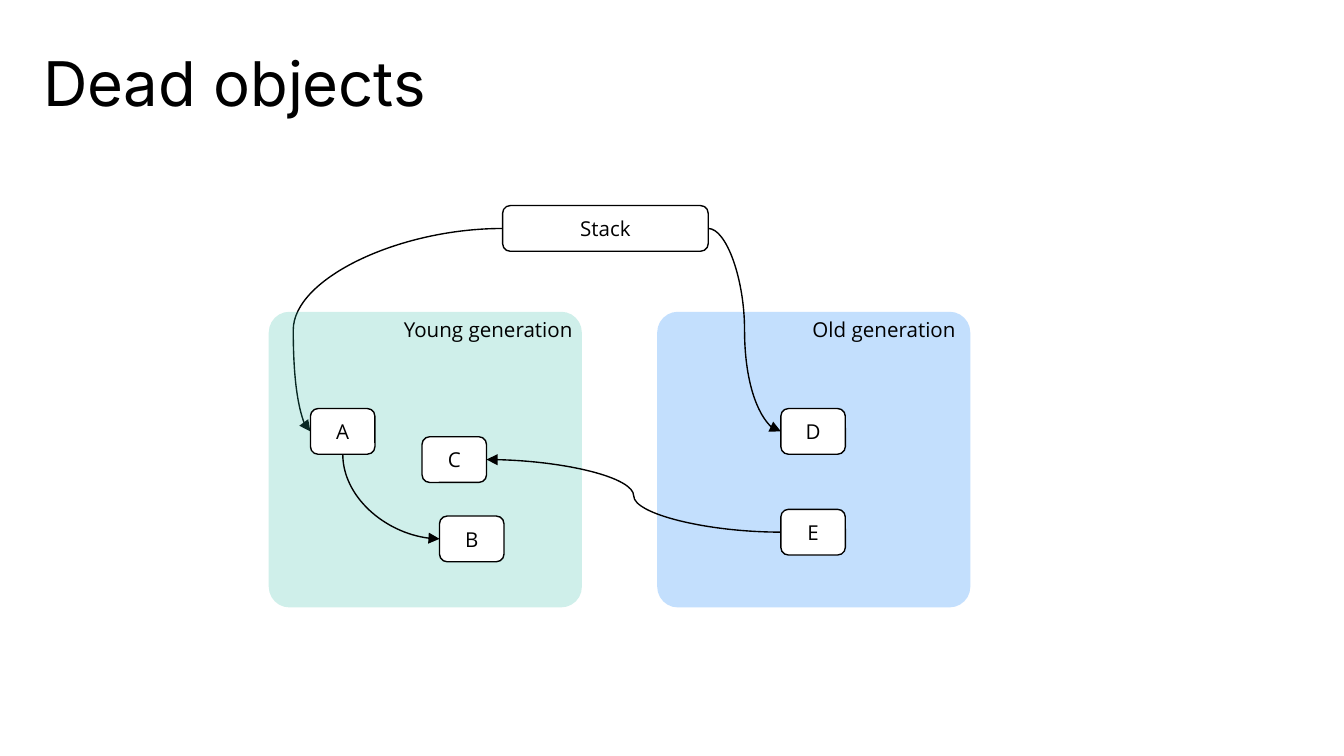
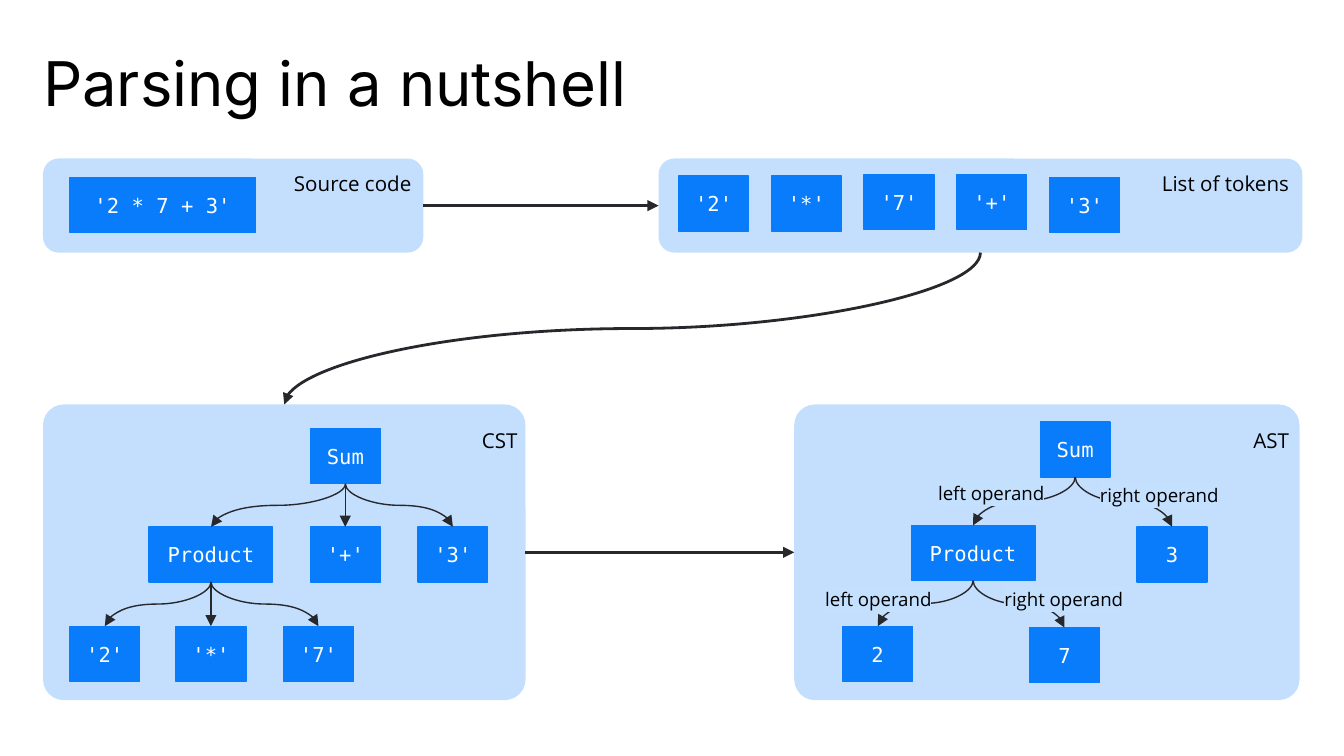
from lxml import etree
from pptx import Presentation
from pptx.dml.color import RGBColor
from pptx.enum import shapes, text
from pptx.oxml.ns import qn
from pptx.util import Inches, Pt

rgb = RGBColor.from_string
BLACK, WHITE, INK = "000000", "FFFFFF", "27282C"
BLUE, GREEN, PALE_BLUE = "087CFA", "28B8A0", "C3E0FE"
SANS, MONO = "Open Sans", "DejaVu Sans Mono"
RECT, ROUND = shapes.MSO_SHAPE.RECTANGLE, shapes.MSO_SHAPE.ROUNDED_RECTANGLE
LEFT, CENTER, RIGHT = text.PP_ALIGN.LEFT, text.PP_ALIGN.CENTER, text.PP_ALIGN.RIGHT
SIDE_TOP, SIDE_LEFT, SIDE_BOTTOM, SIDE_RIGHT = range(4)


def add_box(slide, place, words="", kind=None, fill=None, alpha=None, line=None, corner=None,
            font=SANS, size=11, color=BLACK, align=CENTER, highlight=None):
    """Add a shape of the given kind, or a text box when there is no kind."""
    place = [Inches(length) for length in place]
    if kind is None:
        box = slide.shapes.add_textbox(*place)
    else:
        box = slide.shapes.add_shape(kind, *place)
        box.shadow.inherit = False
        box.fill.solid()
        box.fill.fore_color.rgb = rgb(fill)
        if alpha:
            tint = box._element.spPr.find(qn("a:solidFill"))[0]
            etree.SubElement(tint, qn("a:alpha"), val=str(alpha * 1000))
        if line:
            box.line.color.rgb = rgb(line)
            box.line.width = Pt(0.75)
        else:
            box.line.fill.background()
        if corner:
            box.adjustments[0] = corner
    if words:
        frame = box.text_frame
        frame.text = words
        frame.word_wrap = True
        frame.margin_left = frame.margin_right = Inches(0.1)
        frame.margin_top = frame.margin_bottom = Inches(0.1)
        if kind is None:
            frame.auto_size = text.MSO_AUTO_SIZE.SHAPE_TO_FIT_TEXT
        else:
            frame.vertical_anchor = text.MSO_ANCHOR.MIDDLE
        paragraph = frame.paragraphs[0]
        paragraph.alignment = align
        run = paragraph.runs[0]
        run.font.size = Pt(size)
        run.font.color.rgb = rgb(color)
        if highlight:
            mark = etree.SubElement(run._r.get_or_add_rPr(), qn("a:highlight"))
            etree.SubElement(mark, qn("a:srgbClr"), val=highlight)
        run.font.name = font
    return box


def add_link(slide, start, start_side, end, end_side, color=INK, width=0.75, bend=None):
    """Join two boxes with a curved arrow; one that leaves downwards is turned."""
    link = slide.shapes.add_connector(shapes.MSO_CONNECTOR.CURVE, 0, 0, 0, 0)
    link.begin_connect(start, start_side)
    link.end_connect(end, end_side)
    properties = link._element.spPr
    geometry = properties.find(qn("a:prstGeom"))
    if start_side == SIDE_BOTTOM:
        across, down = link.end_x - link.begin_x, link.end_y - link.begin_y
        middle_x = (link.begin_x + link.end_x) // 2
        middle_y = (link.begin_y + link.end_y) // 2
        link.width, link.height = down, abs(across)
        link.left, link.top = middle_x - down // 2, middle_y - abs(across) // 2
        link.rotation = 270 if across >= 0 else 90
        frame = properties.find(qn("a:xfrm"))
        frame.set("flipH", "1" if across >= 0 else "0")
        frame.set("flipV", "0")
        if end_side == SIDE_LEFT:
            geometry.set("prst", "curvedConnector2")
    if bend:
        etree.SubElement(geometry.find(qn("a:avLst")), qn("a:gd"), name="adj1", fmla=f"val {bend}")
    link.line.color.rgb = rgb(color)
    link.line.width = Pt(width)
    etree.SubElement(properties.find(qn("a:ln")), qn("a:tailEnd"), type="triangle")
    etree.SubElement(properties, qn("a:effectLst"))
    return link


# A 16:9 deck
deck = Presentation()
deck.slide_width = Inches(10)
deck.slide_height = deck.slide_width * 9 // 16

# Slides and their titles
slides = []
for heading in ("Dead objects", "Parsing in a nutshell"):
    slide = deck.slides.add_slide(deck.slide_layouts[5])
    title = slide.shapes.title
    title.left, title.top = Inches(0.32), Inches(0.32)
    title.width, title.height = Inches(9.3), Inches(0.5)
    frame = title.text_frame
    frame.text = heading
    frame.auto_size = text.MSO_AUTO_SIZE.NONE
    frame.vertical_anchor = text.MSO_ANCHOR.TOP
    frame.margin_left = frame.margin_right = 0
    frame.margin_top = frame.margin_bottom = Inches(0.1)
    paragraph = frame.paragraphs[0]
    paragraph.alignment, paragraph.line_spacing = LEFT, 0.85
    font = paragraph.runs[0].font
    font.name, font.size, font.color.rgb = "Inter", Pt(33), rgb(BLACK)
    slides.append(slide)
memory, parsing = slides

# Dead objects: the two generations
generations = []
for words, left, label_left, fill, alpha in (("Young generation", 2, 2.68, GREEN, 22),
                                             ("Old generation", 4.89, 5.53, BLUE, 24)):
    generations.append(add_box(memory, (left, 2.32, 2.33, 2.2), kind=ROUND, fill=fill,
                               alpha=alpha, corner=0.07))
    add_box(memory, (label_left, 2.27, 1.68, 0.39), words, align=RIGHT)

# Dead objects: the stack and the objects
objects = {}
for name, left, top, width in (("Stack", 3.74, 1.53, 1.53), ("A", 2.31, 3.04, 0.48),
                               ("B", 3.27, 3.84, 0.48), ("C", 3.14, 3.25, 0.48),
                               ("D", 5.81, 3.04, 0.48), ("E", 5.81, 3.79, 0.48)):
    objects[name] = add_box(memory, (left, top, width, 0.34), name, ROUND, WHITE,
                            line=BLACK, corner=0.167)

# Dead objects: references; the one to A runs behind the young generation
for start, start_side, end, end_side in (("A", SIDE_BOTTOM, "B", SIDE_LEFT),
                                         ("Stack", SIDE_RIGHT, "D", SIDE_LEFT),
                                         ("E", SIDE_LEFT, "C", SIDE_RIGHT)):
    add_link(memory, objects[start], start_side, objects[end], end_side, BLACK)
stack_to_a = add_link(memory, objects["Stack"], SIDE_LEFT, objects["A"], SIDE_LEFT, BLACK,
                      bend=108900)
generations[0]._element.addprevious(stack_to_a._element)

# Parsing: the four stages
stages = {}
for stage, place, corner in (("AST", (5.91, 3.01, 3.76, 2.2), 0.07),
                             ("CST", (0.32, 3.01, 3.59, 2.2), 0.07),
                             ("List of tokens", (4.9, 1.18, 4.79, 0.7), 0.167),
                             ("Source code", (0.32, 1.18, 2.83, 0.7), 0.167)):
    stages[stage] = add_box(parsing, place, kind=ROUND, fill=BLUE, alpha=24, corner=corner)

# Parsing: code, tokens and tree nodes, each with a key, words, left, top and width
TOKEN, PRODUCT = 0.52, 0.92
nodes = [("code", "'2 * 7 + 3'", 0.52, 1.32, 1.38)]
tokens = (("'2'", 1.31), ("'*'", 1.31), ("'7'", 1.3), ("'+'", 1.3), ("'3'", 1.32))
for index, (token, top) in enumerate(tokens):
    nodes.append((f"token {index}", token, 5.05 + 0.69 * index, top, TOKEN))
nodes += [
    ("CST sum", "Sum", 2.31, 3.19, TOKEN),
    ("CST plus", "'+'", 2.31, 3.92, TOKEN),
    ("CST 3", "'3'", 3.11, 3.92, TOKEN),
    ("CST product", "Product", 1.11, 3.92, PRODUCT),
    ("CST times", "'*'", 1.31, 4.66, TOKEN),
    ("CST 2", "'2'", 0.52, 4.66, TOKEN),
    ("CST 7", "'7'", 2.11, 4.66, TOKEN),
    ("AST sum", "Sum", 7.74, 3.14, TOKEN),
    ("AST 3", "3", 8.46, 3.92, TOKEN),
    ("AST product", "Product", 6.78, 3.91, PRODUCT),
    ("AST 2", "2", 6.27, 4.66, TOKEN),
    ("AST 7", "7", 7.66, 4.67, TOKEN),
]
placed = {}
for key, words, left, top, width in nodes:
    placed[key] = add_box(parsing, (left, top, width, 0.41), words, RECT, BLUE, line=BLUE,
                          font=MONO, color=WHITE)

# Parsing: tree branches
branches = {
    "CST sum": ("CST plus", "CST 3", "CST product"),
    "CST product": ("CST times", "CST 7", "CST 2"),
    "AST sum": ("AST 3", "AST product"),
    "AST product": ("AST 7", "AST 2"),
}
for parent, children in branches.items():
    for child in children:
        add_link(parsing, placed[parent], SIDE_BOTTOM, placed[child], SIDE_TOP)

# Parsing: arrows from stage to stage
for start, start_side, end, end_side in (
        ("Source code", SIDE_RIGHT, "List of tokens", SIDE_LEFT),
        ("List of tokens", SIDE_BOTTOM, "CST", SIDE_TOP),
        ("CST", SIDE_RIGHT, "AST", SIDE_LEFT)):
    add_link(parsing, stages[start], start_side, stages[end], end_side, width=1.5)

# Parsing: stage names and operand labels
for stage, left, top, width in (("Source code", 2.07, 1.18, 1.09),
                                ("List of tokens", 8.5, 1.18, 1.19),
                                ("CST", 2.76, 3.09, 1.19), ("AST", 8.5, 3.09, 1.19)):
    add_box(parsing, (left, top, width, 0.39), stage, align=RIGHT)
for operand, left, top in (("left operand", 5.91, 4.29), ("right operand", 7.29, 4.29),
                           ("left operand", 6.75, 3.5), ("right operand", 8, 3.52)):
    add_box(parsing, (left, top, 1.25, 0.37), operand, size=10, highlight=PALE_BLUE)

deck.save("out.pptx")
